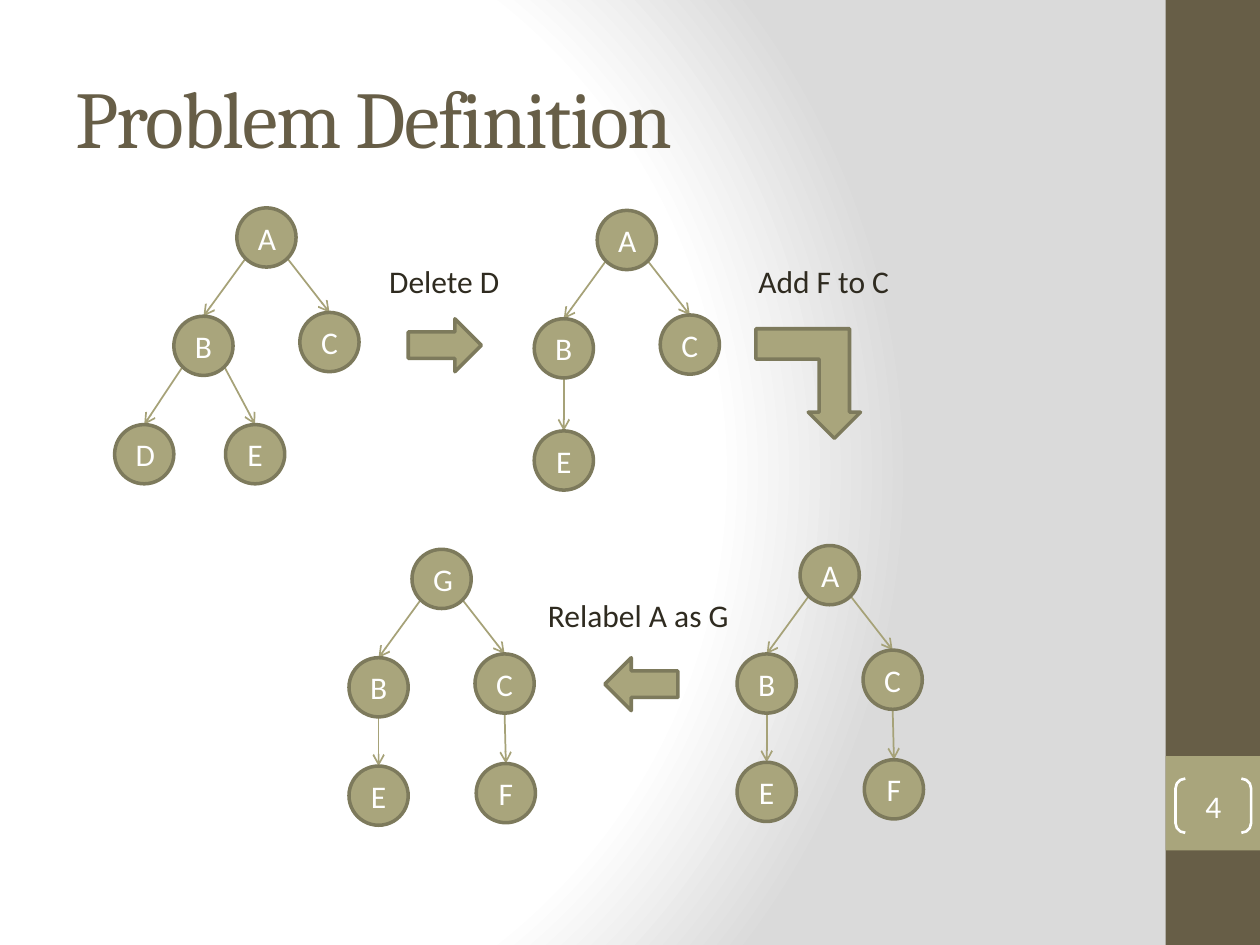
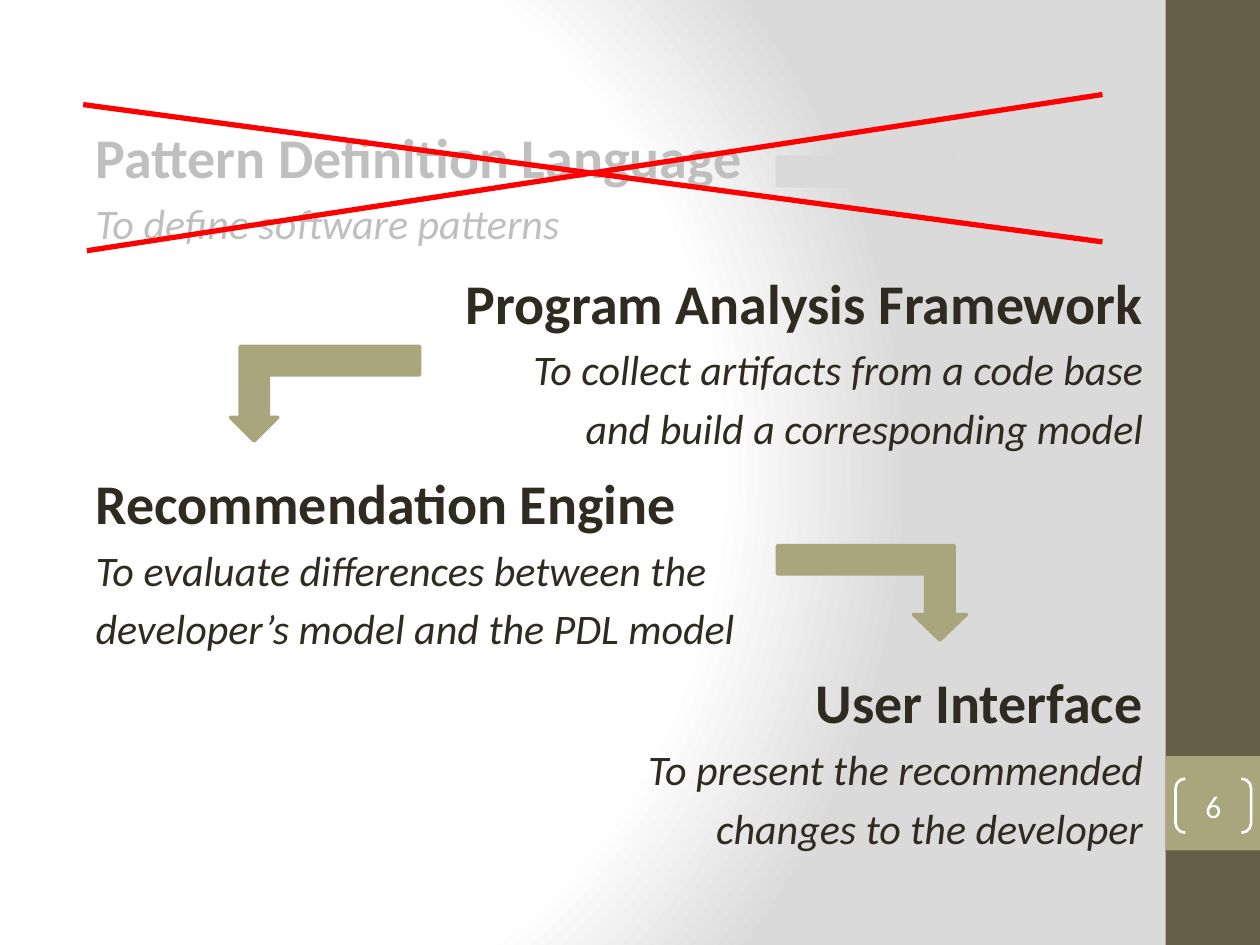
from lxml import etree
from pptx import Presentation
from pptx.dml.color import RGBColor
from pptx.enum.shapes import MSO_CONNECTOR, MSO_SHAPE
from pptx.enum.text import MSO_ANCHOR, PP_ALIGN
from pptx.oxml import parse_xml
from pptx.oxml.ns import nsdecls, qn
from pptx.util import Inches, Pt

BROWN = RGBColor(0x67, 0x5E, 0x47)
OLIVE = RGBColor(0xA9, 0xA5, 0x7C)
RIM = RGBColor(0x7D, 0x7A, 0x5C)
EDGE = RGBColor(0xA6, 0xA2, 0x78)
INK = RGBColor(0x2F, 0x2B, 0x20)
FADED = RGBColor(0xBF, 0xBF, 0xBF)
PALE = RGBColor(0xD9, 0xD9, 0xD9)
RED = RGBColor(0xFF, 0x00, 0x00)
WHITE = RGBColor(0xFF, 0xFF, 0xFF)

RECT = MSO_SHAPE.RECTANGLE
OVAL = MSO_SHAPE.OVAL
BRACKETS = MSO_SHAPE.DOUBLE_BRACKET
BENT = MSO_SHAPE.BENT_UP_ARROW
RIGHT_ARROW = MSO_SHAPE.RIGHT_ARROW
LEFT_ARROW = MSO_SHAPE.LEFT_ARROW
STRAIGHT = MSO_CONNECTOR.STRAIGHT
MIDDLE = MSO_ANCHOR.MIDDLE
LEFT, CENTER, RIGHT = PP_ALIGN.LEFT, PP_ALIGN.CENTER, PP_ALIGN.RIGHT

BODY_FONT, TITLE_FONT = "Calibri", "Cambria"
GRADIENT = f"""<a:gradFill {nsdecls("a")} rotWithShape="1"><a:gsLst>
<a:gs pos="0"><a:srgbClr val="FFFFFF"/></a:gs>
<a:gs pos="75000"><a:srgbClr val="FFFFFF"/></a:gs>
<a:gs pos="100000"><a:srgbClr val="DADADA"/></a:gs></a:gsLst>
<a:path path="circle"><a:fillToRect l="20000" t="50000" r="100000" b="50000"/></a:path>
</a:gradFill>"""


def add_shape(slide, kind, at, fill=None, line=None, width=2, adjust=()):
    """Add a flat preset shape; without a fill or line colour it has none."""
    shape = slide.shapes.add_shape(kind, *map(Inches, at))
    shape.shadow.inherit = False
    if fill is None:
        shape.fill.background()
    else:
        shape.fill.solid()
        shape.fill.fore_color.rgb = fill
    if line is None:
        shape.line.fill.background()
    else:
        shape.line.color.rgb = line
        shape.line.width = Pt(width)
    for index, value in enumerate(adjust):
        shape.adjustments[index] = value
    return shape


def write(frame, text, size=18, color=INK, align=LEFT, font=BODY_FONT):
    """Fill a text frame and give its paragraphs one look."""
    frame.text = text
    for par in frame.paragraphs:
        par.alignment = align
        for run in par.runs:
            run.font.name = font
            run.font.size = Pt(size)
            run.font.color.rgb = color


deck = Presentation()
deck.slide_width, deck.slide_height = Inches(10), Inches(7.5)

# Background, side band and page number of every slide
for number in (4, 6):
    slide = deck.slides.add_slide(deck.slide_layouts[6])
    slide.background.fill.solid()
    back = slide.element.find(".//" + qn("p:bgPr"))
    back.replace(back[0], parse_xml(GRADIENT))
    add_shape(slide, RECT, (9.25, 0, 0.75, 7.5), BROWN)
    add_shape(slide, RECT, (9.25, 6, 0.75, 0.75), OLIVE)
    page = add_shape(slide, BRACKETS, (9.33, 6.18, 0.6, 0.43),
                     line=WHITE, width=1.5, adjust=[0.18])
    frame = page.text_frame
    frame.margin_left = frame.margin_right = 0
    frame.margin_top = frame.margin_bottom = 0
    frame.vertical_anchor = MIDDLE
    write(frame, str(number), color=WHITE, align=CENTER)
trees_slide, parts_slide = deck.slides

# Slide 1: title
title = trees_slide.shapes.add_textbox(*map(Inches, (0.5, 0.3, 8.33, 1.25)))
frame = title.text_frame
frame.word_wrap = True
frame.vertical_anchor = MIDDLE
write(frame, "Problem Definition", 46, BROWN, font=TITLE_FONT)
frame.paragraphs[0].runs[0].font._element.set("spc", "-100")

# Slide 1: trees as root, left, top, leaves (parent, name, offset from root)
NODE = 0.47
CORNER = 0.07
BRANCHES = [("root", "B", -0.5, 0.86), ("root", "C", 0.5, 0.83)]
STEM = ("B", "E", -0.5, 1.72)
SPROUT = ("C", "F", 0.51, 1.7)
trees = [
    ("A", 1.88, 1.65, [("B", "D", -0.97, 1.72), ("B", "E", -0.09, 1.72)]),
    ("A", 4.74, 1.67, [("B", "E", -0.5, 1.75)]),
    ("A", 6.35, 4.33, [STEM, SPROUT]),
    ("G", 3.27, 4.36, [STEM, SPROUT]),
]
for root, left, top, leaves in trees:
    places = {"root": (left, top)}
    for parent, name, across, down in BRANCHES + leaves:
        x, y = places[name] = (left + across, top + down)
        from_x, from_y = places[parent]
        if abs(x - from_x) < 0.1:
            start = (from_x + NODE / 2, from_y + NODE)
        elif x < from_x:
            start = (from_x + CORNER, from_y + NODE - CORNER)
        else:
            start = (from_x + NODE - CORNER, from_y + NODE - CORNER)
        edge = trees_slide.shapes.add_connector(
            STRAIGHT, *map(Inches, (*start, x + NODE / 2, y)))
        edge.line.color.rgb = EDGE
        edge.line.width = Pt(1)
        outline = edge.element.spPr.find(qn("a:ln"))
        etree.SubElement(outline, qn("a:tailEnd"), type="arrow")
    for name, (x, y) in places.items():
        node = add_shape(trees_slide, OVAL, (x, y, NODE, NODE), OLIVE, RIM)
        node.text_frame.vertical_anchor = MIDDLE
        write(node.text_frame, root if name == "root" else name,
              color=WHITE, align=CENTER)

# Slide 1: steps between the trees
add_shape(trees_slide, RIGHT_ARROW, (3.24, 2.53, 0.58, 0.42), OLIVE, RIM)
add_shape(trees_slide, LEFT_ARROW, (4.8, 5.22, 0.58, 0.42), OLIVE, RIM)
turn = add_shape(trees_slide, BENT, (6, 2.61, 0.83, 0.87), OLIVE, RIM,
                 adjust=[0.29, 0.25, 0.25])
turn.element.spPr.xfrm.set("flipV", "1")
for text, left, top, width in [("Delete D", 2.99, 2.03, 1.08),
                               ("Add F to C", 5.92, 2.03, 1.25),
                               ("Relabel A as G", 4.25, 4.68, 1.75)]:
    label = trees_slide.shapes.add_textbox(*map(Inches, (left, top, width, 0.4)))
    label.text_frame.word_wrap = False
    write(label.text_frame, text)

# Slide 2: a bold heading with italic lines below it
parts = [
    (0.92, 1.25, LEFT, FADED,
     "Pattern Definition Language\nTo define software patterns"),
    (3.67, 1.67, LEFT, INK,
     "Recommendation Engine\nTo evaluate differences between the\n"
     "developer’s model and the PDL model"),
    (2.08, 1.67, RIGHT, INK,
     "Program Analysis Framework\nTo collect artifacts from a code base\n"
     "and build a corresponding model"),
    (5.25, 1.83, RIGHT, INK,
     "User Interface\nTo present the recommended\nchanges to the developer"),
]
for top, height, align, color, text in parts:
    box = parts_slide.shapes.add_textbox(*map(Inches, (0.66, top, 8.51, height)))
    box.text_frame.word_wrap = True
    write(box.text_frame, text, 24, color, align)
    head, *details = box.text_frame.paragraphs
    head.space_before = Pt(6.4)
    head.runs[0].font.size = Pt(32)
    head.runs[0].font.bold = True
    for par in details:
        par.space_before = Pt(4.8)
        par.runs[0].font.italic = True

# Slide 2: bent arrows from part to part
back_turn = add_shape(parts_slide, BENT, (1.83, 2.75, 1.5, 0.75), OLIVE, OLIVE,
                      adjust=[0.3, 0.25, 0.25])
back_turn.rotation = 180
for top, color in [(4.33, OLIVE), (1.25, PALE)]:
    turn = add_shape(parts_slide, BENT, (6.17, top, 1.5, 0.75), color, color,
                     adjust=[0.3, 0.28, 0.27])
    turn.element.spPr.xfrm.set("flipV", "1")

# Slide 2: cross over the first part
for ends in [(0.66, 0.83, 8.75, 1.92), (0.69, 1.99, 8.75, 0.75)]:
    stroke = parts_slide.shapes.add_connector(STRAIGHT, *map(Inches, ends))
    stroke.line.color.rgb = RED
    stroke.line.width = Pt(3)

# No connector casts a shadow
for slide in deck.slides:
    for link in slide.element.iter(qn("p:cxnSp")):
        etree.SubElement(link.spPr, qn("a:effectLst"))

deck.save("out.pptx")
